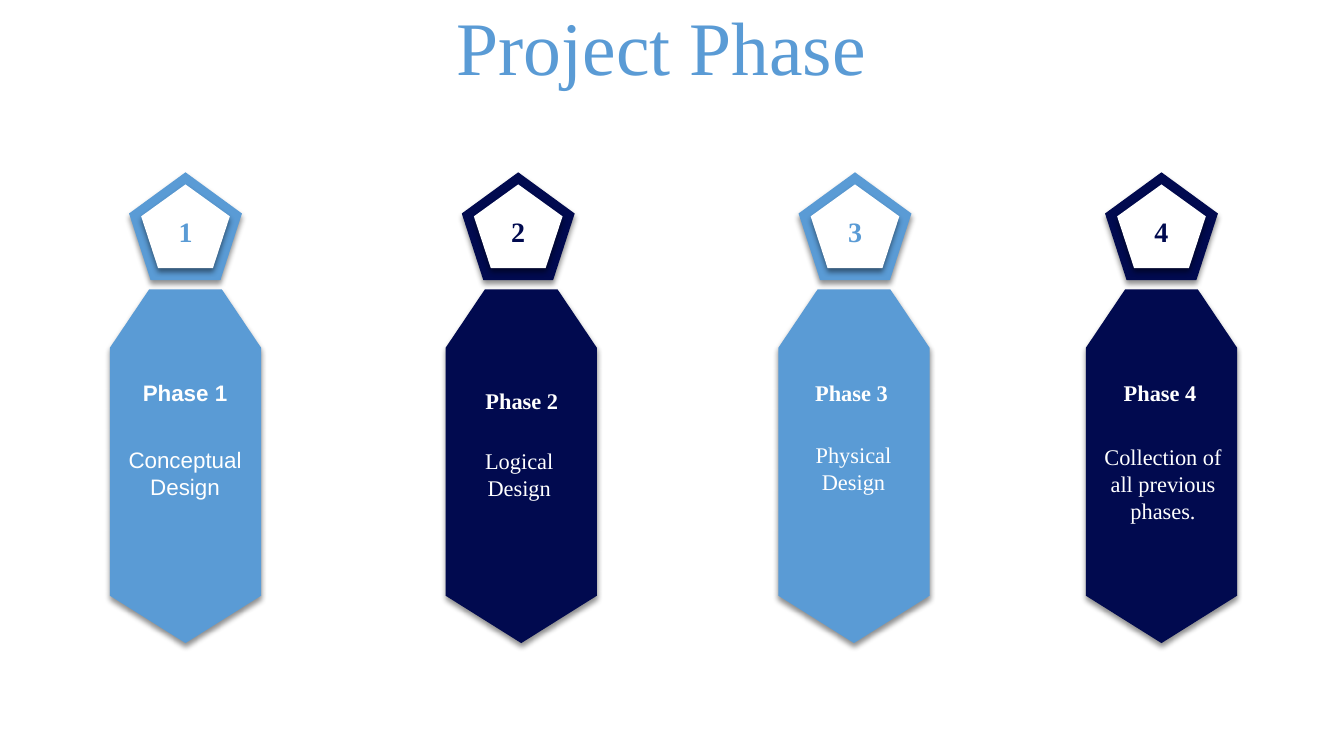
from lxml import etree
from pptx import Presentation
from pptx import util as u
from pptx.dml.color import RGBColor
from pptx.enum import shapes, text
from pptx.oxml.ns import qn

BLUE, NAVY, WHITE = "5A9BD5", "010A4F", "FFFFFF"
SERIF, SANS = "Times New Roman", "Arial"
TITLE = "Project Phase"

# Left edges and text boxes (left, top, width) in inches
PHASES = [
    dict(color=BLUE, font=SANS, banner=1.09, badge=1.28,
         heading=("Phase 1", 1.13, 3.71, 1.41),
         detail=("Conceptual Design", 1.14, 4.38, 1.39, 0.64)),
    dict(color=NAVY, font=SERIF, banner=4.42, badge=4.58,
         heading=("Phase 2", 4.47, 3.79, 1.41),
         detail=("Logical Design", 4.42, 4.39, 1.46, 0.64)),
    dict(color=BLUE, font=SERIF, banner=7.72, badge=7.92,
         heading=("Phase 3", 7.74, 3.71, 1.41),
         detail=("Physical Design", 7.77, 4.33, 1.39, 0.64)),
    dict(color=NAVY, font=SERIF, banner=10.77, badge=10.96,
         heading=("Phase 4", 10.7, 3.71, 1.61),
         detail=("Collection of all previous phases.", 10.74, 4.35, 1.59, 0.91)),
]

BANNER_TOP = 2.87
BANNER_OUTLINE = [(0.39, 0), (1.11, 0), (1.5, 0.58), (1.5, 3.04),
                  (0.75, 3.51), (0, 3.04), (0, 0.58)]
BADGE_TOP, BADGE_WIDTH, BADGE_HEIGHT, BADGE_RIM = 1.71, 1.12, 1.07, 0.12
NUMBER_TOP, NUMBER_WIDTH, NUMBER_HEIGHT = 2.08, 0.61, 0.44


def rgb(value):
    return RGBColor.from_string(value)


def style_text(frame, words, size, font, color, bold=False):
    frame.text = words
    para = frame.paragraphs[0]
    para.alignment = text.PP_ALIGN.CENTER
    span = para.runs[0].font
    span.size, span.name, span.bold = u.Pt(size), font, bold
    span.color.rgb = rgb(color)
    return para


def add_text(slide, words, left, top, width, height, size, font, color, bold=False):
    box = slide.shapes.add_textbox(*map(u.Inches, (left, top, width, height)))
    box.text_frame.word_wrap = True
    style_text(box.text_frame, words, size, font, color, bold)


def finish_shape(shape, color):
    """Fill the shape, drop its outline and give it a soft shadow below."""
    shape.fill.solid()
    shape.fill.fore_color.rgb = rgb(color)
    shape.line.fill.background()
    shape.shadow.inherit = False
    effects = shape._element.spPr.find(qn("a:effectLst"))
    shadow = etree.SubElement(effects, qn("a:outerShdw"), blurRad=str(u.Pt(4)),
                              dist=str(u.Pt(3)), dir="5400000", rotWithShape="0")
    black = etree.SubElement(shadow, qn("a:srgbClr"), val="000000")
    etree.SubElement(black, qn("a:alpha"), val="43000")


def add_pentagon(slide, left, inset, color):
    pentagon = slide.shapes.add_shape(
        shapes.MSO_SHAPE.REGULAR_PENTAGON,
        u.Inches(left + inset), u.Inches(BADGE_TOP + inset),
        u.Inches(BADGE_WIDTH - 2 * inset), u.Inches(BADGE_HEIGHT - 2 * inset))
    finish_shape(pentagon, color)


def add_banner(slide, left, color):
    points = [(u.Inches(left + x), u.Inches(BANNER_TOP + y)) for x, y in BANNER_OUTLINE]
    builder = slide.shapes.build_freeform(*points[0])
    builder.add_line_segments(points[1:], close=True)
    finish_shape(builder.convert_to_shape(), color)


def add_phase(slide, number, phase):
    color, font, badge = phase["color"], phase["font"], phase["badge"]
    add_pentagon(slide, badge, 0, color)
    add_banner(slide, phase["banner"], color)
    add_pentagon(slide, badge, BADGE_RIM, WHITE)
    number_left = badge + (BADGE_WIDTH - NUMBER_WIDTH) / 2
    add_text(slide, str(number), number_left, NUMBER_TOP, NUMBER_WIDTH,
             NUMBER_HEIGHT, 20, SERIF, color, bold=True)
    add_text(slide, *phase["detail"], 16, font, WHITE)
    add_text(slide, *phase["heading"], 0.37, 16, font, WHITE, bold=True)


def main():
    deck = Presentation()
    deck.slide_width, deck.slide_height = u.Inches(13.33), u.Inches(7.5)
    slide = deck.slides.add_slide(deck.slide_layouts[5])

    title = slide.shapes.title
    title.left, title.top = u.Inches(4.08), u.Inches(0.24)
    title.width, title.height = u.Inches(4.96), u.Inches(0.53)
    frame = title.text_frame
    frame.auto_size = text.MSO_AUTO_SIZE.NONE
    frame.vertical_anchor = text.MSO_ANCHOR.MIDDLE
    style_text(frame, TITLE, 54, SERIF, BLUE).line_spacing = 0.9

    for number, phase in enumerate(PHASES, start=1):
        add_phase(slide, number, phase)
    deck.save("out.pptx")


if __name__ == "__main__":
    main()
